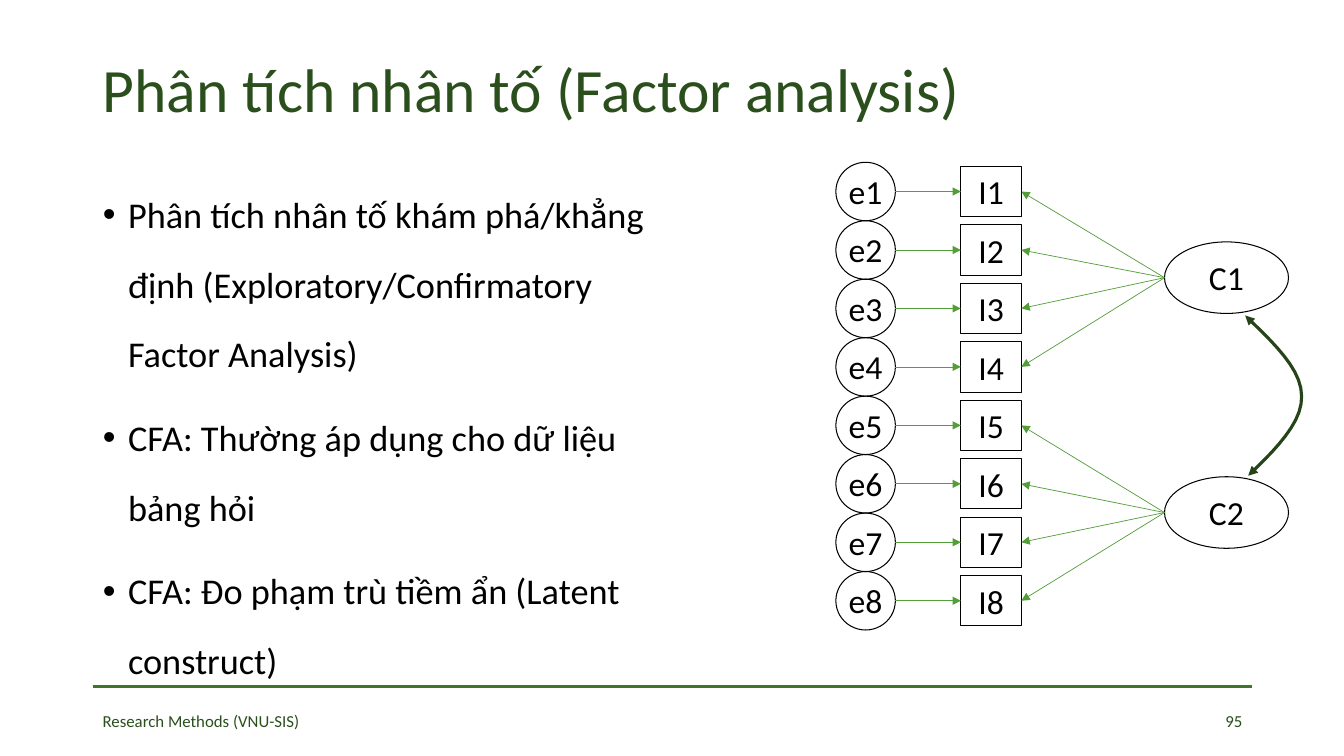
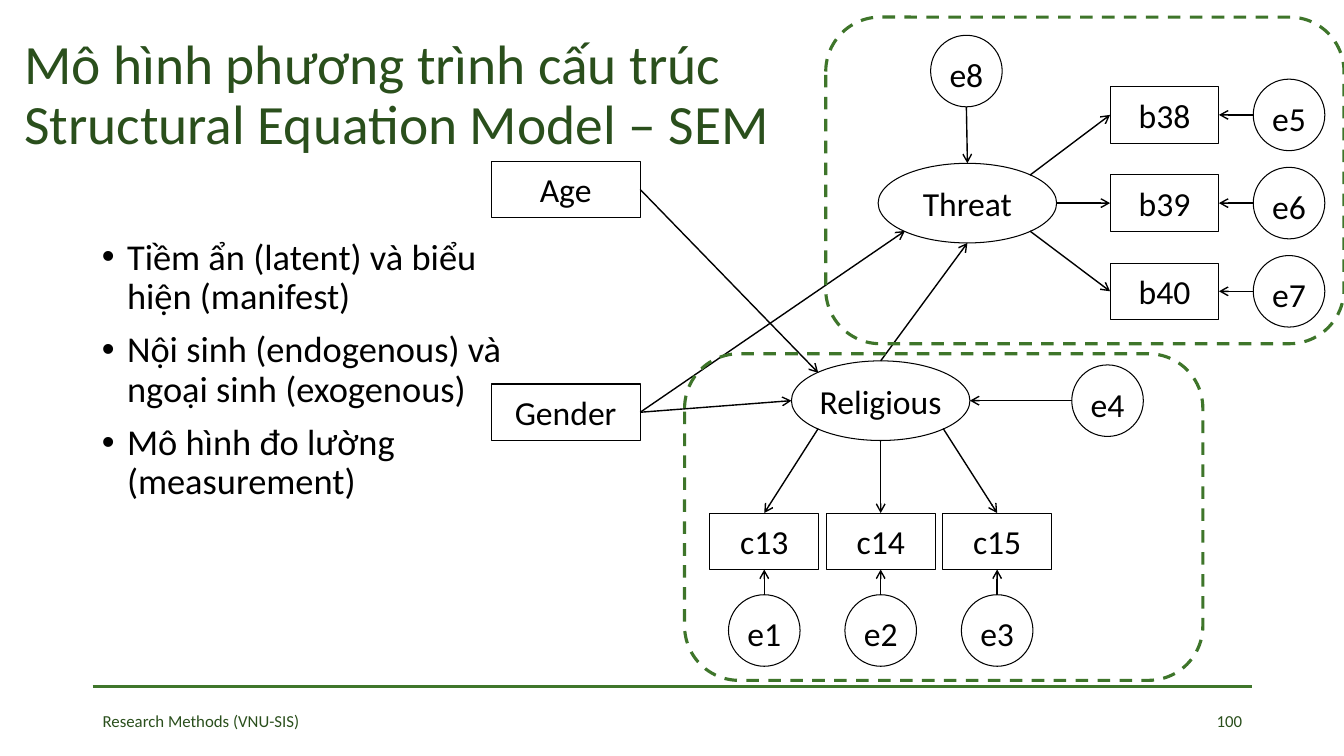
from lxml.etree import SubElement
from pptx import Presentation
from pptx.dml.color import RGBColor
from pptx.enum.dml import MSO_LINE
from pptx.enum.shapes import MSO_CONNECTOR, MSO_SHAPE
from pptx.enum.text import MSO_ANCHOR, MSO_AUTO_SIZE, PP_ALIGN
from pptx.oxml.ns import qn
from pptx.util import Inches, Pt

FONT = "Calibri"
BLACK = RGBColor(0x00, 0x00, 0x00)
TITLE_GREEN = RGBColor(0x2A, 0x4F, 0x1C)
RULE_GREEN = RGBColor(0x3F, 0x76, 0x2B)
FRAME_GREEN = RGBColor(0x3E, 0x75, 0x2A)
ARROW_GREEN = RGBColor(0x54, 0x9E, 0x39)
CURVE_GREEN = RGBColor(0x25, 0x45, 0x19)

# Connection sites as fractions of width and height
RECT_SITES = [(0.5, 0), (0, 0.5), (0.5, 1), (1, 0.5)]
OVAL_SITES = [(0.5, 0), (0.15, 0.15), (0, 0.5), (0.15, 0.85),
              (0.5, 1), (0.85, 0.85), (1, 0.5), (0.85, 0.15)]
TOP, LEFT, BOTTOM, RIGHT = range(4)
(OVAL_TOP, OVAL_TOP_LEFT, OVAL_LEFT, OVAL_BOTTOM_LEFT,
 OVAL_BOTTOM, OVAL_BOTTOM_RIGHT, OVAL_RIGHT, OVAL_TOP_RIGHT) = range(8)


def add_node(page, kind, label, left, top, width, height, inset):
    """Add an outlined rectangle or ellipse with a centred label."""
    node = page.shapes.add_shape(
        kind, Inches(left), Inches(top), Inches(width), Inches(height))
    node.shadow.inherit = False
    node.fill.background()
    node.line.color.rgb = BLACK
    node.line.width = Pt(0.75)
    frame = node.text_frame
    frame.text = label
    frame.vertical_anchor = MSO_ANCHOR.TOP
    frame.margin_left = frame.margin_right = 0
    frame.margin_top = frame.margin_bottom = Inches(inset)
    para = frame.paragraphs[0]
    para.alignment = PP_ALIGN.CENTER
    font = para.runs[0].font
    font.name, font.size, font.color.rgb = FONT, Pt(24), BLACK
    return node


def add_arrow(page, start, start_site, end, end_site,
              color=BLACK, width=1, head="arrow"):
    """Draw an arrow between connection sites of two nodes."""
    points = []
    for node, site in ((start, start_site), (end, end_site)):
        oval = node.auto_shape_type == MSO_SHAPE.OVAL
        across, down = (OVAL_SITES if oval else RECT_SITES)[site]
        points += [int(node.left + across * node.width),
                   int(node.top + down * node.height)]
    arrow = page.shapes.add_connector(MSO_CONNECTOR.STRAIGHT, *points)
    if start.auto_shape_type == MSO_SHAPE.RECTANGLE:
        arrow.begin_connect(start, start_site)
    if end.auto_shape_type == MSO_SHAPE.RECTANGLE:
        arrow.end_connect(end, end_site)
    arrow.line.color.rgb = color
    arrow.line.width = Pt(width)
    properties = arrow.element.spPr
    SubElement(properties.find(qn("a:ln")), qn("a:tailEnd"), type=head)
    SubElement(properties, qn("a:effectLst"))


deck = Presentation()
deck.slide_width = Inches(13.33)
deck.slide_height = Inches(7.5)
layout = deck.slide_layouts[1]
for holder in list(layout.placeholders):
    if holder.placeholder_format.idx > 1:
        holder.element.getparent().remove(holder.element)

# Title, list and footer of each page
PAGES = [
    {"title": "Phân tích nhân tố (Factor analysis)",
     "title_at": (0.92, 0.4, 11.5, 1.04), "title_size": 44,
     "items": ["Phân tích nhân tố khám phá/khẳng định "
               "(Exploratory/Confirmatory Factor Analysis)",
               "CFA: Thường áp dụng cho dữ liệu bảng hỏi",
               "CFA: Đo phạm trù tiềm ẩn (Latent construct)"],
     "list_at": (0.92, 1.6, 5.72, 5.16), "list_size": 25.9,
     "spacing": 1.6, "number": "95"},
    {"title": "Mô hình phương trình cấu trúc\vStructural Equation Model – SEM",
     "title_at": (0.14, 0.21, 7.89, 1.49), "title_size": 39.6,
     "items": ["Tiềm ẩn (latent) và biểu hiện (manifest)",
               "Nội sinh (endogenous) và ngoại sinh (exogenous)",
               "Mô hình đo lường (measurement)"],
     "list_at": (0.91, 2.32, 4.19, 4.43), "list_size": 26,
     "spacing": 0.9, "number": "100"},
]
for content in PAGES:
    page = deck.slides.add_slide(layout)
    title, body = page.shapes.title, page.placeholders[1]
    for holder, place in ((title, "title_at"), (body, "list_at")):
        holder.left, holder.top, holder.width, holder.height = [
            Inches(length) for length in content[place]]
    footer = page.shapes.add_textbox(
        Inches(0.92), Inches(6.95), Inches(2.51), Inches(0.4))
    number = page.shapes.add_textbox(
        Inches(9.42), Inches(6.95), Inches(3), Inches(0.4))

    texts = [
        (title, content["title"], content["title_size"], TITLE_GREEN),
        (body, "\n".join(content["items"]), content["list_size"], BLACK),
        (footer, "Research Methods (VNU-SIS)", 12, TITLE_GREEN),
        (number, content["number"], 12, TITLE_GREEN),
    ]
    for box, text, size, color in texts:
        frame = box.text_frame
        frame.text = text
        frame.word_wrap = True
        frame.auto_size = MSO_AUTO_SIZE.NONE
        frame.vertical_anchor = (
            MSO_ANCHOR.TOP if box is body else MSO_ANCHOR.MIDDLE)
        for para in frame.paragraphs:
            para.alignment = PP_ALIGN.RIGHT if box is number else PP_ALIGN.LEFT
            for span in para.runs:
                span.font.name = FONT
                span.font.size = Pt(size)
                span.font.color.rgb = color

    title.text_frame.paragraphs[0].line_spacing = 0.9
    for index, para in enumerate(body.text_frame.paragraphs):
        para.line_spacing = content["spacing"]
        para.space_before = Pt(10 if index else 0)
        indents = para._p.get_or_add_pPr()
        indents.set("marL", str(Inches(0.25)))
        indents.set("indent", str(Inches(-0.25)))

factor_page, model_page = deck.slides

# Rule above the footer, shared through the layout
rule = factor_page.shapes.add_connector(
    MSO_CONNECTOR.STRAIGHT, Inches(0.92), Inches(6.81), Inches(12.42), Inches(6.81))
rule.line.color.rgb = RULE_GREEN
rule.line.width = Pt(2.25)
SubElement(rule.element.spPr, qn("a:effectLst"))
layout.shapes.element.append(rule.element)

# Factor analysis: two constructs, eight indicators with their errors
constructs = [
    add_node(factor_page, MSO_SHAPE.OVAL, label, 11.55, top, 1.23, 0.71, 0.05)
    for label, top in (("C1", 2.4), ("C2", 4.73))]
thin_green = {"color": ARROW_GREEN, "width": 0.5, "head": "triangle"}
for index in range(8):
    top = 1.65 + 0.58 * index
    indicator = add_node(factor_page, MSO_SHAPE.RECTANGLE, f"I{index + 1}",
                         9.53, top, 0.6, 0.5, 0.05)
    error = add_node(factor_page, MSO_SHAPE.OVAL, f"e{index + 1}",
                     8.29, top - 0.04, 0.59, 0.58, 0)
    add_arrow(factor_page, error, OVAL_RIGHT, indicator, LEFT, **thin_green)
    add_arrow(factor_page, constructs[index // 4], OVAL_LEFT,
              indicator, RIGHT, **thin_green)

# Curved double arrow between the constructs, as points on two Bézier arcs
ARCS = [((12.35, 3.13), (12.63, 3.4), (12.91, 3.66), (12.91, 3.93)),
        ((12.91, 3.93), (12.92, 4.19), (12.65, 4.46), (12.38, 4.72))]
STEPS = 10
curve_points = []
for arc in ARCS:
    for step in range(1, STEPS + 1):
        t = step / STEPS
        weights = ((1 - t) ** 3, 3 * t * (1 - t) ** 2, 3 * t * t * (1 - t), t ** 3)
        curve_points.append(tuple(
            Inches(sum(weight * point[axis] for weight, point in zip(weights, arc)))
            for axis in (0, 1)))
builder = factor_page.shapes.build_freeform(Inches(12.35), Inches(3.13))
builder.add_line_segments(curve_points, close=False)
curve = builder.convert_to_shape()
curve.shadow.inherit = False
curve.fill.background()
curve.line.color.rgb = CURVE_GREEN
curve.line.width = Pt(2.25)
for end_tag in ("a:headEnd", "a:tailEnd"):
    SubElement(curve.element.spPr.find(qn("a:ln")), qn(end_tag), type="triangle")

# Structural model: predictors and latent variables
age, gender = [
    add_node(model_page, MSO_SHAPE.RECTANGLE, label, 4.87, top, 1.48, 0.56, 0.08)
    for label, top in (("Age", 1.6), ("Gender", 3.81))]
threat, religious = [
    add_node(model_page, MSO_SHAPE.OVAL, label, left, top, 1.77, 0.79, 0.08)
    for label, left, top in (("Threat", 8.71, 1.62), ("Religious", 7.85, 3.58))]
error_4, error_8 = [
    add_node(model_page, MSO_SHAPE.OVAL, label, left, top, 0.71, 0.71, 0.08)
    for label, left, top in (("e4", 10.63, 3.62), ("e8", 9.23, 0.35))]
PATHS = [
    (gender, RIGHT, religious, OVAL_LEFT),
    (age, RIGHT, religious, OVAL_TOP_LEFT),
    (religious, OVAL_TOP, threat, OVAL_BOTTOM),
    (gender, RIGHT, threat, OVAL_BOTTOM_LEFT),
    (error_4, OVAL_LEFT, religious, OVAL_RIGHT),
    (error_8, OVAL_BOTTOM, threat, OVAL_TOP),
]
for ends in PATHS:
    add_arrow(model_page, *ends)

# Measured items with their errors: a row below Religious, a column beside Threat
religious_sites = (OVAL_BOTTOM_LEFT, OVAL_BOTTOM, OVAL_BOTTOM_RIGHT)
threat_sites = (OVAL_TOP_RIGHT, OVAL_RIGHT, OVAL_BOTTOM_RIGHT)
for index in range(3):
    left = 7.04 + 1.155 * index
    item = add_node(model_page, MSO_SHAPE.RECTANGLE, f"c{13 + index}",
                    left, 5.09, 1.08, 0.56, 0.08)
    error = add_node(model_page, MSO_SHAPE.OVAL, f"e{1 + index}",
                     left + 0.185, 5.9, 0.71, 0.71, 0.08)
    add_arrow(model_page, error, OVAL_TOP, item, BOTTOM)
    add_arrow(model_page, religious, religious_sites[index], item, TOP)

    top = 0.86 + 0.875 * index
    item = add_node(model_page, MSO_SHAPE.RECTANGLE, f"b{38 + index}",
                    11.01, top, 1.08, 0.56, 0.08)
    error = add_node(model_page, MSO_SHAPE.OVAL, f"e{5 + index}",
                     12.43, top - 0.075, 0.71, 0.71, 0.08)
    add_arrow(model_page, error, OVAL_LEFT, item, RIGHT)
    add_arrow(model_page, threat, threat_sites[index], item, LEFT)

# Dashed frames around the two measurement models
for left, top in ((8.19, 0.17), (6.79, 3.51)):
    outline = model_page.shapes.add_shape(
        MSO_SHAPE.ROUNDED_RECTANGLE,
        Inches(left), Inches(top), Inches(5.14), Inches(3.24))
    outline.shadow.inherit = False
    outline.fill.background()
    outline.line.color.rgb = FRAME_GREEN
    outline.line.width = Pt(2.25)
    outline.line.dash_style = MSO_LINE.DASH

deck.save("out.pptx")
